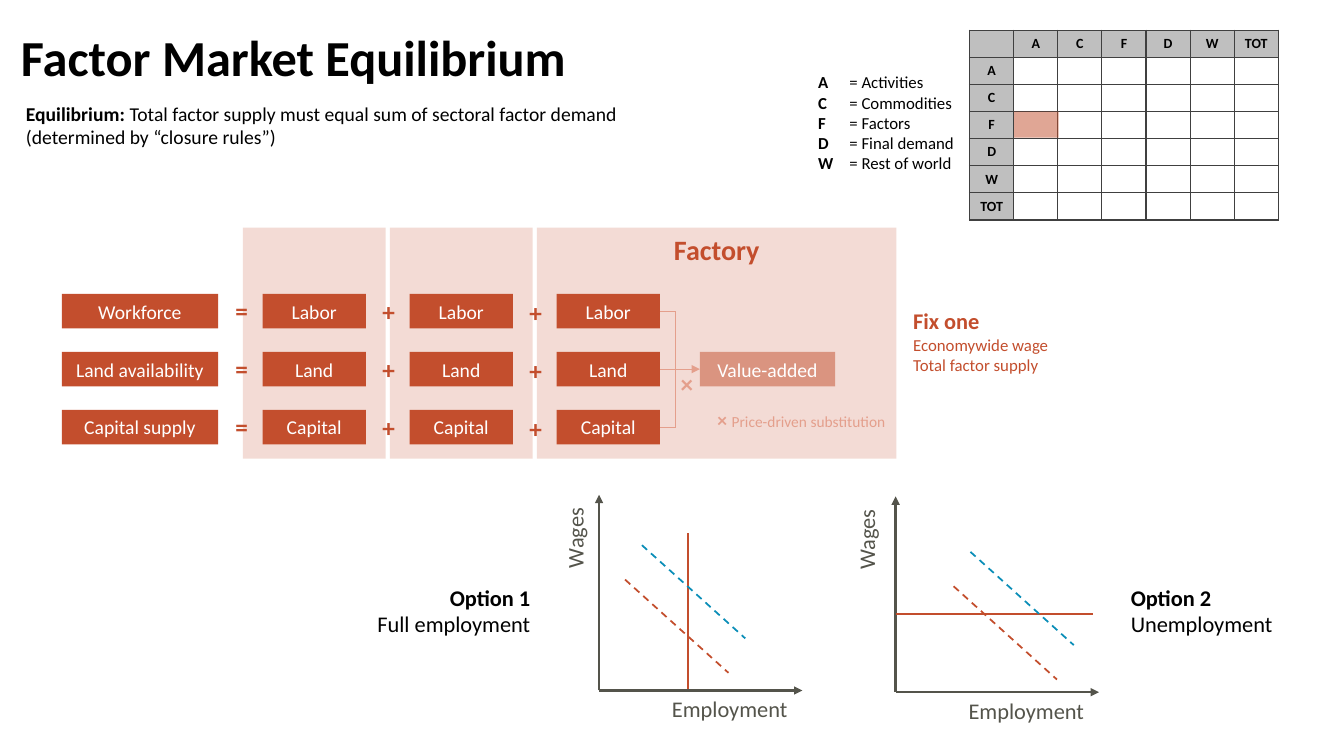
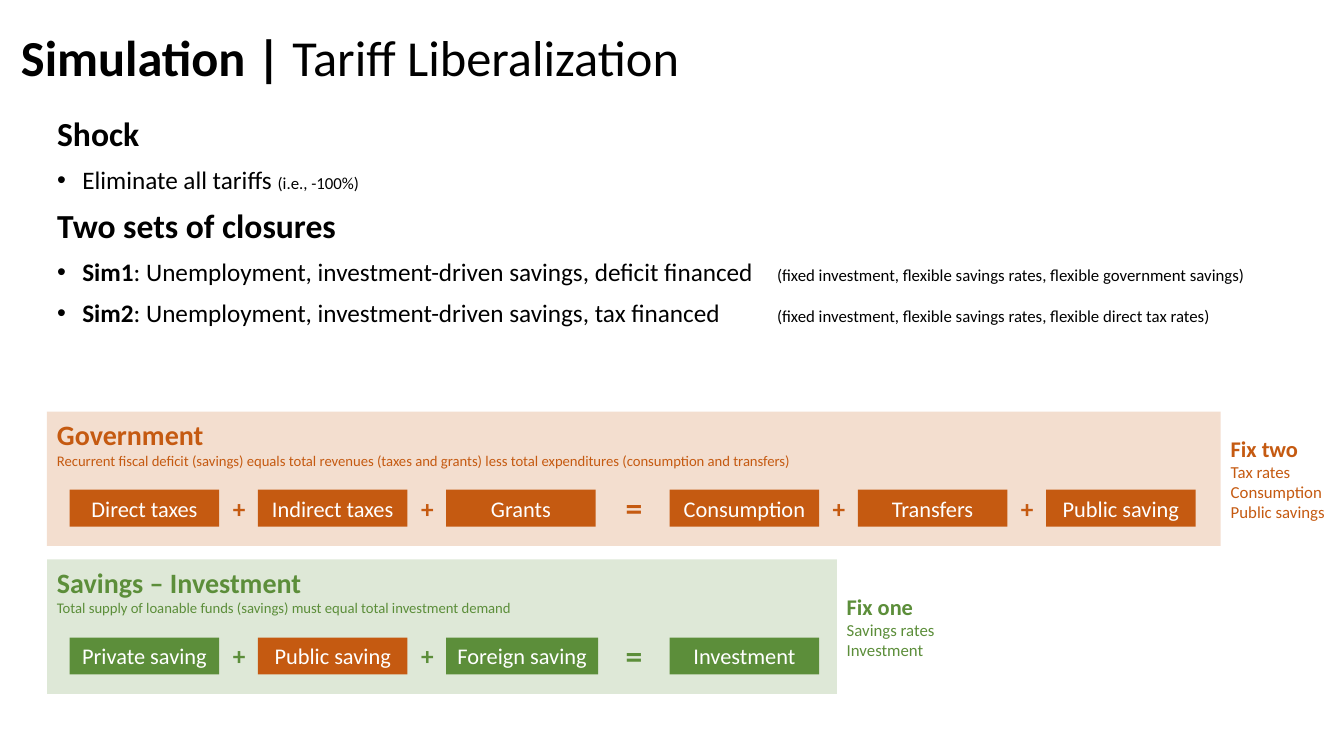
"""Build two slides on factor markets and a tariff simulation."""
import lxml.etree
import pptx
import pptx.dml.color
import pptx.enum.dml
import pptx.enum.shapes
import pptx.enum.text
import pptx.oxml.ns
import pptx.util

BLACK = pptx.dml.color.RGBColor(0x00, 0x00, 0x00)
WHITE = pptx.dml.color.RGBColor(0xFF, 0xFF, 0xFF)
RUST = pptx.dml.color.RGBColor(0xC3, 0x4E, 0x2D)
PINK = pptx.dml.color.RGBColor(0xE4, 0x9F, 0x8C)
SLATE = pptx.dml.color.RGBColor(0x54, 0x54, 0x4B)
BLUE = pptx.dml.color.RGBColor(0x0B, 0x8E, 0xB8)
ORANGE = pptx.dml.color.RGBColor(0xC5, 0x5A, 0x11)
GREEN = pptx.dml.color.RGBColor(0x5C, 0x8E, 0x3A)
GREY = pptx.dml.color.RGBColor(0xBF, 0xBF, 0xBF)

LEFT = pptx.enum.text.PP_ALIGN.LEFT
MID = pptx.enum.text.PP_ALIGN.CENTER
RIGHT = pptx.enum.text.PP_ALIGN.RIGHT
BOLD = {"bold": True}
SMALL = {"size": pptx.util.Pt(12), "bold": False}
HEAD = {"size": pptx.util.Pt(24), "bold": True}

deck = pptx.Presentation()
deck.slide_width = pptx.util.Inches(13.33)
deck.slide_height = pptx.util.Inches(7.5)
unit = deck.slide_height / 90


def write(frame, rows, size, tint=BLACK, align=LEFT, bold=False):
    frame.word_wrap = True
    frame.auto_size = pptx.enum.text.MSO_AUTO_SIZE.NONE
    for i, row in enumerate(rows):
        para = frame.add_paragraph() if i else frame.paragraphs[0]
        para.alignment = align
        for text, extra in [(row, {})] if isinstance(row, str) else row:
            run = para.add_run()
            run.text = text
            look = {"name": "Calibri", "size": pptx.util.Pt(size), "bold": bold, **extra}
            for key, val in look.items():
                setattr(run.font, key, val)
            run.font.color.rgb = tint


def put(page, box, rows=(), size=14, fill=None, alpha=100, **look):
    area = [int(n * unit) for n in box]
    if fill is None:
        shape = page.shapes.add_textbox(*area)
    else:
        shape = page.shapes.add_shape(pptx.enum.shapes.MSO_SHAPE.RECTANGLE, *area)
        shape.shadow.inherit = False
        shape.fill.solid()
        shape.fill.fore_color.rgb = fill
        shape.line.fill.background()
        if alpha < 100:
            tone = shape._element.spPr.find(".//" + pptx.oxml.ns.qn("a:srgbClr"))
            lxml.etree.SubElement(tone, pptx.oxml.ns.qn("a:alpha"), val=str(alpha * 1000))
    write(shape.text_frame, rows, size, **look)
    return shape


market = deck.slides.add_slide(deck.slide_layouts[5])
tariff = deck.slides.add_slide(deck.slide_layouts[1])
heads = [
    (market, [("Factor Market Equilibrium", BOLD)]),
    (tariff, [("Simulation | ", BOLD), ("Tariff Liberalization", {})]),
]
place = dict(zip(("left", "top", "width", "height"), (1.3, 1.7, 156.7, 10.9)))
for page, runs in heads:
    title = page.shapes.title
    for key, val in place.items():
        setattr(title, key, int(val * unit))
    title.text_frame.vertical_anchor = pptx.enum.text.MSO_ANCHOR.MIDDLE
    write(title.text_frame, [runs], 36)
    title.text_frame.paragraphs[0].line_spacing = 0.9

codes = ["", "A", "C", "F", "D", "W", "TOT"]
count = len(codes)
area = [int(n * unit) for n in (115.4, 3.6, 5.25 * count, 3.2 * count)]
table = market.shapes.add_table(count, count, *area).table
table.first_row = table.horz_banding = False
for r in range(count):
    for c in range(count):
        cell = table.cell(r, c)
        cell.vertical_anchor = pptx.enum.text.MSO_ANCHOR.MIDDLE
        props = cell._tc.get_or_add_tcPr()
        for side in ("a:lnL", "a:lnR", "a:lnT", "a:lnB"):
            edge = lxml.etree.SubElement(props, pptx.oxml.ns.qn(side), w="12700")
            ink = lxml.etree.SubElement(edge, pptx.oxml.ns.qn("a:solidFill"))
            lxml.etree.SubElement(ink, pptx.oxml.ns.qn("a:srgbClr"), val="404040")
        para = cell.text_frame.paragraphs[0]
        if r * c:
            cell.fill.background()
        else:
            cell.fill.solid()
            cell.fill.fore_color.rgb = GREY
        if r * c == 0 and r + c:
            write(cell.text_frame, [codes[r + c]], 10, align=MID, bold=True)
        else:
            lxml.etree.SubElement(para._p, pptx.oxml.ns.qn("a:endParaRPr"), sz="1000")
put(market, (120.7, 13.3, 5.3, 3.1), fill=RUST, alpha=50)

rule = "Total factor supply must equal sum of sectoral factor demand (determined by “closure rules”)"
put(market, (1.9, 11.5, 76.9, 6.8), [[("Equilibrium:", BOLD), (" " + rule, {})]])
names = ["Activities", "Commodities", "Factors", "Final demand", "Rest of world"]
rows = [[(code, BOLD), ("\t= " + name, {})] for code, name in zip(codes[1:], names)]
legend = put(market, (96.2, 8, 19.2, 13.7), rows, 12)
for para in legend.text_frame.paragraphs:
    stops = lxml.etree.SubElement(para._p.get_or_add_pPr(), pptx.oxml.ns.qn("a:tabLst"))
    lxml.etree.SubElement(stops, pptx.oxml.ns.qn("a:tab"), pos=str(pptx.util.Inches(0.31)), algn="l")

wires = []
sources = ["Workforce", "Land availability", "Capital supply"]
for c, (wide, sign) in enumerate([(17, "="), (17, "+"), (42.8, "+")]):
    x = 28.9 + 17.5 * c
    put(market, (x, 27.1, wide, 27.5), fill=RUST, alpha=20)
    for r, name in enumerate(["Labor", "Land", "Capital"]):
        y = 35 + 6.9 * r
        put(market, (x + 2.35, y, 12.3, 4.1), [name], fill=RUST, tint=WHITE, align=MID)
        put(market, (x - 2.5, y - 0.4 + 0.1 * c, 4.7, 4.8), [sign], 18, tint=RUST, align=MID, bold=True)
for r, name in enumerate(sources):
    y = 35 + 6.9 * r
    put(market, (7.35, y, 18.6, 4.1), [name], fill=RUST, tint=WHITE, align=MID)
    end = 83.3 if r == 1 else 80.4
    wires.append((78.6, y + 2.05, end, y + 2.05, PINK, 0.5, False, r == 1))
wires.append((80.4, 50.85, 80.4, 37.05, PINK, 0.5, False, False))
put(market, (83.3, 41.9, 16.1, 4.1), ["Value-added"], fill=RUST, alpha=50, tint=WHITE, align=MID)
put(market, (63.9, 27.1, 42.8, 5.3), ["Factory"], 20, tint=RUST, align=MID, bold=True)
put(market, (79.4, 43.3, 4.7, 4.8), ["×"], 18, tint=PINK, align=MID, bold=True)
note = [("× ", BOLD), ("Price-driven substitution", {"size": pptx.util.Pt(11)})]
put(market, (84.2, 48, 23.2, 4.4), [note], tint=PINK)

graphs = [
    (71.3, 82.2, 5.1, (3.1, -13.2), (10.6, -0.2, 10.6, -18.7)),
    (106.6, 82.4, 5.7, (6.9, -12.6), (0, -9.3, 23.5, -9.3)),
]
for x, y, gap, (dx, dy), fixed in graphs:
    wires.append((x, y, x, y - 23.3, SLATE, 1.75, False, True))
    wires.append((x, y, x + 24.2, y, SLATE, 1.75, False, True))
    wires.append((x + fixed[0], y + fixed[1], x + fixed[2], y + fixed[3], RUST, 1.25, False, False))
    for tint, right, up in [(RUST, 0, 0), (BLUE, 2, 4.1)]:
        u, v = x + dx + right, y + dy - up
        wires.append((u, v, u + 12.3, v + 11.1, tint, 1.25, True, False))
    wages = put(market, (x - gap, y - 22.9, 5.6, 22.9), ["Wages"], 16, tint=SLATE, align=RIGHT)
    wages.text_frame._txBody.bodyPr.set("vert", "vert270")
    put(market, (x - 0.5, y, 24.1, 4.4), ["Employment"], 16, tint=SLATE, align=RIGHT)
put(market, (35.9, 68.9, 28.4, 7.7), [[("Option 1", BOLD)], "Full employment"], 16, align=RIGHT)
put(market, (133.4, 68.9, 26, 7.7), [[("Option 2", BOLD)], "Unemployment"], 16)

for x, y, u, v, tint, thick, dash, arrow in wires:
    ends = [int(n * unit) for n in (x, y, u, v)]
    wire = market.shapes.add_connector(pptx.enum.shapes.MSO_CONNECTOR.STRAIGHT, *ends)
    wire.line.color.rgb = tint
    wire.line.width = pptx.util.Pt(thick)
    if dash:
        wire.line.dash_style = pptx.enum.dml.MSO_LINE.DASH
    props = wire._element.spPr
    if arrow:
        lxml.etree.SubElement(props.find(pptx.oxml.ns.qn("a:ln")), pptx.oxml.ns.qn("a:tailEnd"), type="triangle")
    lxml.etree.SubElement(props, pptx.oxml.ns.qn("a:effectLst"))

body = tariff.placeholders[1]
place = dict(zip(("left", "top", "width", "height"), (5.6, 13.4, 150.8, 34.8)))
for key, val in place.items():
    setattr(body, key, int(val * unit))
base = ": Unemployment, investment-driven savings, "
fixed = "\t(fixed investment, flexible savings rates, flexible "
rows = [
    [("Shock", HEAD)],
    [("Eliminate all tariffs ", {}), ("(i.e., -100%)", SMALL)],
    [("Two sets of closures", HEAD)],
    [("Sim1", BOLD), (base + "deficit financed", {}), (fixed + "government savings)", SMALL)],
    [("Sim2", BOLD), (base + "tax financed", {}), (fixed + "direct tax rates)", SMALL)],
]
write(body.text_frame, rows, 18)
for i, para in enumerate(body.text_frame.paragraphs):
    para.line_spacing = 0.9
    para.space_before = pptx.util.Pt(10 if i else 0)
    props = para._p.get_or_add_pPr()
    dent = 0 if i in (0, 2) else pptx.util.Inches(0.25)
    props.set("marL", str(dent))
    props.set("indent", str(-dent))
    if dent:
        lxml.etree.SubElement(props, pptx.oxml.ns.qn("a:buFont"), typeface="Arial")
        lxml.etree.SubElement(props, pptx.oxml.ns.qn("a:buChar"), char="•")
        stops = lxml.etree.SubElement(props, pptx.oxml.ns.qn("a:tabLst"))
        lxml.etree.SubElement(stops, pptx.oxml.ns.qn("a:tab"), pos=str(pptx.util.Inches(7.14)), algn="l")
    else:
        lxml.etree.SubElement(props, pptx.oxml.ns.qn("a:buNone"))

deficit = "Recurrent fiscal deficit (savings) equals total revenues (taxes and grants) less total expenditures (consumption and transfers)"
funds = "Total supply of loanable funds (savings) must equal total investment demand"
bands = [
    (49, 139.7, ORANGE, "Government", deficit,
     ["Direct taxes", "Indirect taxes", "Grants"], ["Consumption", "Transfers", "Public saving"]),
    (66.6, 94, GREEN, "Savings – Investment", funds,
     ["Private saving", "Public saving", "Foreign saving"], ["Investment"]),
]
for y, wide, tint, name, text, before, after in bands:
    put(tariff, (5.6, y, wide, 16), fill=tint, alpha=20)
    top = [(name, {"size": pptx.util.Pt(20), "bold": True})]
    put(tariff, (5.6, y + 0.15, 98.2, 11.4), [top, text], 10.5, tint=tint)
    for start, terms in [(8.3, before), (79.7, after)]:
        for i, term in enumerate(terms):
            x = start + 22.4 * i
            fill = ORANGE if term == "Public saving" else tint
            broad = 18.1 if term == "Foreign saving" else 17.8
            put(tariff, (x, y + 9.3, broad, 4.4), [term], 16, fill=fill, tint=WHITE, align=MID)
            if i:
                put(tariff, (x - 4.6, y + 9.1, 4.7, 4.8), ["+"], 18, tint=tint, align=MID, bold=True)
    put(tariff, (73.1, y + 8.4, 4.7, 6), ["="], 24, tint=tint, align=MID, bold=True)

fixes = [
    (market, (107.5, 36, 21.7, 9.2), RUST, "Fix one", ["Economywide wage", "Total factor supply"]),
    (tariff, (145.3, 51.2, 14.3, 11.8), ORANGE, "Fix two", ["Tax rates", "Consumption", "Public savings"]),
    (tariff, (99.6, 70, 15.6, 9.2), GREEN, "Fix one", ["Savings rates", "Investment"]),
]
for page, box, tint, name, items in fixes:
    put(page, box, [[(name, {"size": pptx.util.Pt(16), "bold": True})], *items], 12, tint=tint)

deck.save("out.pptx")
